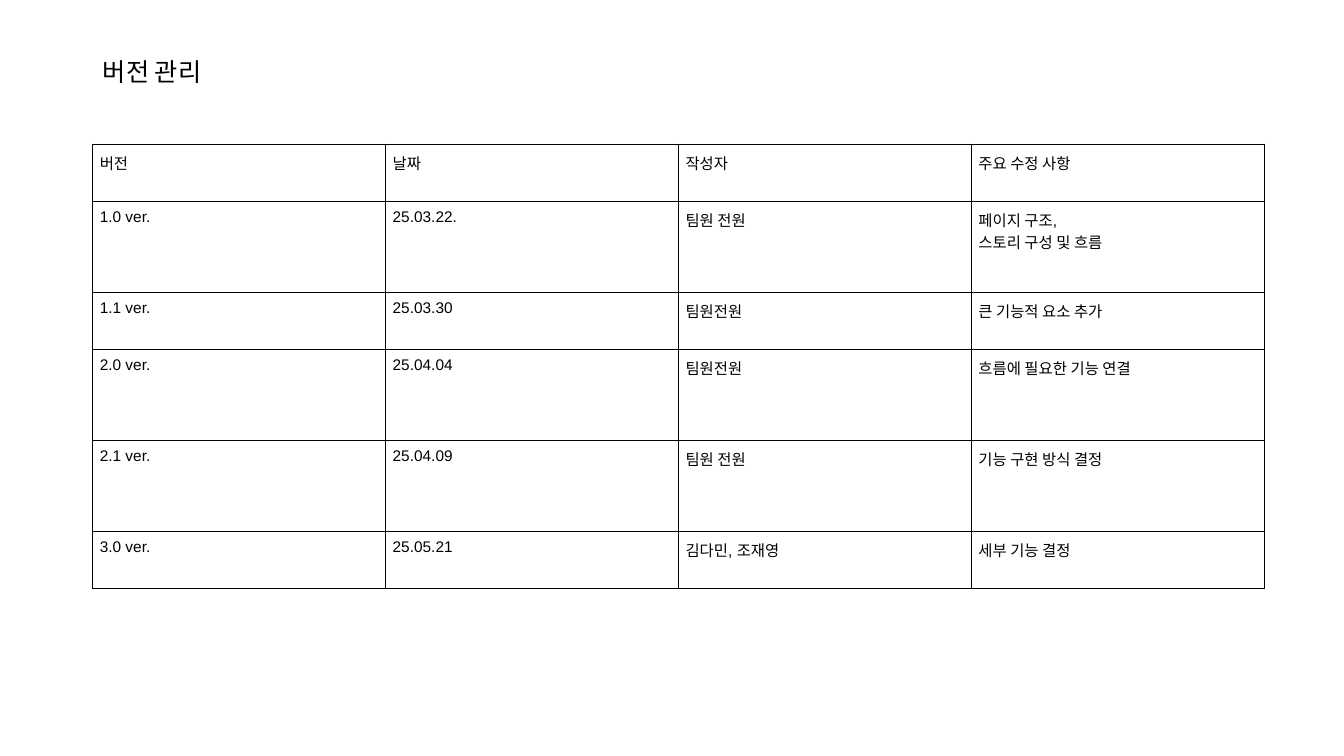
"""Build the version history slide."""
from dataclasses import dataclass

from lxml import etree
from pptx import Presentation
from pptx.dml.color import RGBColor
from pptx.enum.text import MSO_ANCHOR, PP_ALIGN
from pptx.oxml.ns import qn
from pptx.util import Inches, Pt

LEFT = PP_ALIGN.LEFT
TOP = MSO_ANCHOR.TOP
MIDDLE = MSO_ANCHOR.MIDDLE
TITLE_ONLY_LAYOUT = 5

TITLE = "버전 관리"
VERSIONS = [
    ["버전", "날짜", "작성자", "주요 수정 사항"],
    ["1.0 ver.", "25.03.22.", "팀원 전원", "페이지 구조,\n스토리 구성 및 흐름"],
    ["1.1 ver.", "25.03.30", "팀원전원", "큰 기능적 요소 추가"],
    ["2.0 ver.", "25.04.04", "팀원전원", "흐름에 필요한 기능 연결"],
    ["2.1 ver.", "25.04.09", "팀원 전원", "기능 구현 방식 결정"],
    ["3.0 ver.", "25.05.21", "김다민, 조재영", "세부 기능 결정"],
]
SHORT_ROW, TALL_ROW = 0.57, 0.9
ROW_HEIGHTS = [SHORT_ROW, TALL_ROW, SHORT_ROW, TALL_ROW, TALL_ROW, SHORT_ROW]


@dataclass(frozen=True)
class Theme:
    ink: str = "000000"
    paper: str = "FFFFFF"
    latin_font: str = "Arial"
    korean_font: str = "Noto Sans CJK KR"
    title_size: float = 18
    table_size: float = 11
    border_width: float = 1
    cell_margin: float = 0.07


class SlideBuilder:
    def __init__(self, slide, theme):
        self.slide = slide
        self.theme = theme
        slide.background.fill.solid()
        slide.background.fill.fore_color.rgb = RGBColor.from_string(theme.paper)

    def add_run(self, paragraph, text, size, font_name):
        paragraph.alignment = LEFT
        run = paragraph.add_run()
        run.text = text
        run.font.size = Pt(size)
        run.font.bold = False
        run.font.color.rgb = RGBColor.from_string(self.theme.ink)
        run.font.name = font_name
        latin = run.font._element.find(qn("a:latin"))
        east_asian = etree.Element(qn("a:ea"), typeface=self.theme.korean_font)
        latin.addnext(east_asian)

    def add_title(self, text, left, top, width, height):
        title = self.slide.shapes.title
        title.left, title.top = Inches(left), Inches(top)
        title.width, title.height = Inches(width), Inches(height)
        title.text_frame.vertical_anchor = MIDDLE
        paragraph = title.text_frame.paragraphs[0]
        paragraph.line_spacing = 0.9
        self.add_run(paragraph, text, self.theme.title_size, self.theme.korean_font)

    def add_table(self, rows, row_heights, left, top, width):
        frame = self.slide.shapes.add_table(
            len(rows), len(rows[0]), Inches(left), Inches(top),
            Inches(width), Inches(sum(row_heights)))
        table = frame.table
        table.first_row = table.horz_banding = False
        for column in table.columns:
            column.width = Inches(width / len(rows[0]))
        for row, height, texts in zip(table.rows, row_heights, rows):
            row.height = Inches(height)
            for cell, text in zip(row.cells, texts):
                self.fill_cell(cell, text)

    def fill_cell(self, cell, text):
        margin = Inches(self.theme.cell_margin)
        cell.margin_left = cell.margin_right = margin
        cell.margin_top = cell.margin_bottom = margin
        cell.vertical_anchor = TOP
        self.add_borders(cell)
        cell.fill.background()
        for index, line in enumerate(text.split("\n")):
            frame = cell.text_frame
            paragraph = frame.add_paragraph() if index else frame.paragraphs[0]
            self.add_run(paragraph, line, self.theme.table_size, self.theme.latin_font)

    def add_borders(self, cell):
        properties = cell._tc.get_or_add_tcPr()
        for side in ("lnL", "lnR", "lnT", "lnB"):
            border = etree.SubElement(
                properties, qn(f"a:{side}"), w=str(Pt(self.theme.border_width)))
            fill = etree.SubElement(border, qn("a:solidFill"))
            etree.SubElement(fill, qn("a:srgbClr"), val=self.theme.ink)


def main():
    presentation = Presentation()
    presentation.slide_width = Inches(13.33)
    presentation.slide_height = Inches(7.5)
    layout = presentation.slide_layouts[TITLE_ONLY_LAYOUT]
    builder = SlideBuilder(presentation.slides.add_slide(layout), Theme())
    builder.add_title(TITLE, 0.92, 0.4, 11.62, 0.65)
    builder.add_table(VERSIONS, ROW_HEIGHTS, 0.92, 1.43, 11.62)
    presentation.save("out.pptx")


if __name__ == "__main__":
    main()
